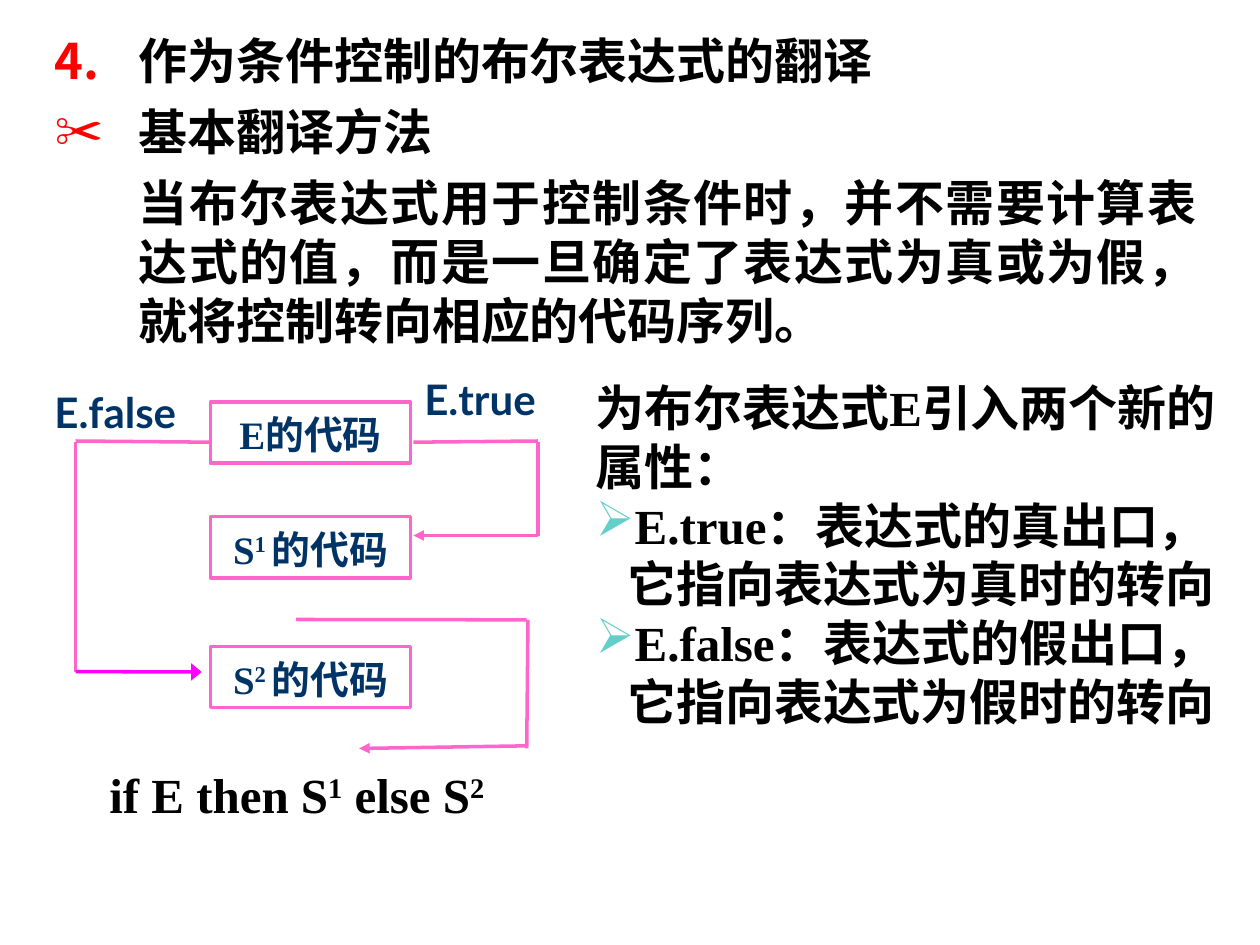
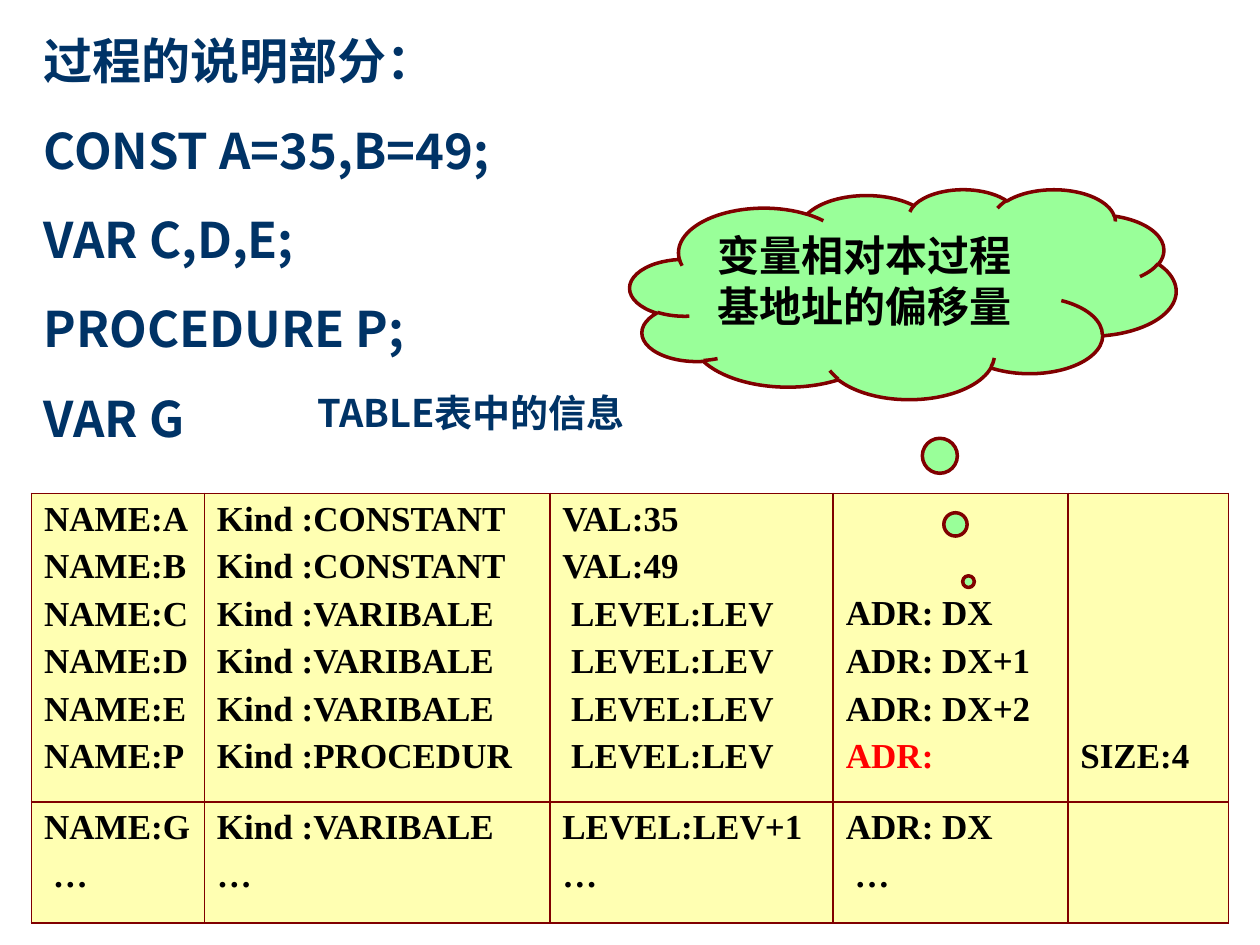
from lxml.etree import SubElement
from pptx import Presentation
from pptx.dml.color import RGBColor
from pptx.enum.shapes import MSO_CONNECTOR as Connector, MSO_SHAPE as Preset
from pptx.enum.text import MSO_ANCHOR as Anchor, MSO_AUTO_SIZE as AutoSize, PP_ALIGN as Align
from pptx.oxml.ns import qn
from pptx.util import Pt

BLACK = RGBColor(0x00, 0x00, 0x00)
WHITE = RGBColor(0xFF, 0xFF, 0xFF)
RED = RGBColor(0xFF, 0x00, 0x00)
NAVY = RGBColor(0x00, 0x33, 0x66)
PINK = RGBColor(0xFF, 0x66, 0xCC)
MAGENTA = RGBColor(0xFF, 0x00, 0xFF)
TEAL = RGBColor(0x64, 0xCE, 0xC9)
MAROON = RGBColor(0x80, 0x00, 0x00)
GREEN = RGBColor(0x99, 0xFF, 0x99)
YELLOW = RGBColor(0xFF, 0xFF, 0x66)

SERIF, SANS, CJK = "Times New Roman", "Lato", "Noto Sans CJK SC"
INSET_X, INSET_Y = 7.2, 3.6
LINE_RATIO = 1.2  # line height over font size
CJK_DROP = 0.07  # keeps the CJK baseline level with the Latin one


def add_xml(parent, tag, **attributes):
    return SubElement(parent, qn(tag), attributes)


def set_values(target, values):
    for name, value in values.items():
        setattr(target, name, value)


class SlideBuilder:
    """Holds the style and the current slide."""

    def __init__(self, presentation):
        self.presentation = presentation
        self.slide = None

    def new_slide(self, layout):
        self.slide = self.presentation.slides.add_slide(
            self.presentation.slide_layouts[layout])

    def write_run(self, paragraph, text, size, font, color, raised=False):
        run = paragraph.add_run()
        run.text = text
        set_values(run.font, {"size": Pt(size), "name": font, "bold": True})
        run.font.color.rgb = color
        properties = run.font._element
        add_xml(properties, "a:ea", typeface=CJK)
        if raised:
            properties.set("baseline", "30000")

    def write_paragraph(self, paragraph, text, size, font, color, **values):
        """Write text; parts between ^ marks are superscript."""
        set_values(paragraph, values)
        for index, part in enumerate(text.split("^")):
            if part:
                self.write_run(paragraph, part, size, font, color, index % 2 == 1)

    def bullet(self, paragraph, mark, color, hang, start=None):
        properties = paragraph._p.get_or_add_pPr()
        properties.set("marL", str(Pt(hang)))
        properties.set("indent", str(-Pt(hang) if mark or start else 0))
        if not (mark or start):
            add_xml(properties, "a:buNone")
            return
        add_xml(add_xml(properties, "a:buClr"), "a:srgbClr", val=str(color))
        if start:
            add_xml(properties, "a:buFont", typeface=CJK)
            add_xml(properties, "a:buAutoNum", type="arabicPeriod", startAt=str(start))
        else:
            add_xml(properties, "a:buChar", char=mark)

    def fill_frame(self, frame, lines, size, font, color, gap=0, bullets=None,
                   wrap=True, anchor=Anchor.TOP, align=Align.LEFT, ratio=LINE_RATIO):
        drop = 0 if "".join(lines).isascii() else size * CJK_DROP
        set_values(frame, {
            "auto_size": AutoSize.NONE, "word_wrap": wrap, "vertical_anchor": anchor,
            "margin_left": Pt(INSET_X), "margin_right": Pt(INSET_X),
            "margin_top": Pt(INSET_Y + drop), "margin_bottom": Pt(INSET_Y)})
        for index, line in enumerate(lines):
            paragraph = frame.add_paragraph() if index else frame.paragraphs[0]
            if bullets and bullets[index]:
                self.bullet(paragraph, **bullets[index])
            self.write_paragraph(
                paragraph, line, size, font, color, alignment=align,
                line_spacing=Pt(size * ratio), space_before=Pt(gap if index else 0))

    def body(self, left, top, width, height, lines, **style):
        """Move and fill the body placeholder; drop the unused title."""
        title = self.slide.shapes.title._element
        title.getparent().remove(title)
        shape = self.slide.placeholders[1]
        set_values(shape, {"left": Pt(left), "top": Pt(top),
                           "width": Pt(width), "height": Pt(height)})
        self.fill_frame(shape.text_frame, lines, **style)

    def text(self, left, top, width, height, lines, **style):
        box = self.slide.shapes.add_textbox(Pt(left), Pt(top), Pt(width), Pt(height))
        self.fill_frame(box.text_frame, lines, **style)

    def shape(self, preset, left, top, width, height, fill, line, lines,
              adjustments=(), **style):
        shape = self.slide.shapes.add_shape(
            preset, Pt(left), Pt(top), Pt(width), Pt(height))
        shape.shadow.inherit = False
        shape.fill.solid()
        shape.fill.fore_color.rgb = fill
        shape.line.color.rgb = line
        shape.line.width = Pt(2)
        for index, value in enumerate(adjustments):
            shape.adjustments[index] = value
        self.fill_frame(shape.text_frame, lines, **style)

    def line(self, start, end, color=PINK, arrow=None):
        """Draw a line; arrow is the width of its end head."""
        connector = self.slide.shapes.add_connector(
            Connector.STRAIGHT, *(Pt(value) for value in (*start, *end)))
        connector.line.color.rgb = color
        connector.line.width = Pt(2)
        if arrow:
            add_xml(connector.line._get_or_add_ln(), "a:tailEnd",
                    type="triangle", w=arrow, len="med")
        add_xml(connector._element.spPr, "a:effectLst")

    def table(self, left, top, widths, heights, rows, size, gap, pitch, highlight):
        """Fill a table; a cell is (lines skipped at the top, lines)."""
        table = self.slide.shapes.add_table(
            len(heights), len(widths), Pt(left), Pt(top),
            Pt(sum(widths)), Pt(sum(heights))).table
        for column, width in zip(table.columns, widths):
            column.width = Pt(width)
        for row, height, cells in zip(table.rows, heights, rows):
            row.height = Pt(height)
            for cell, (skipped, lines) in zip(row.cells, cells):
                self.style_cell(cell, skipped * pitch)
                for index, line in enumerate(lines):
                    frame = cell.text_frame
                    paragraph = frame.add_paragraph() if index else frame.paragraphs[0]
                    self.write_paragraph(
                        paragraph, line, size, SERIF, RED if line == highlight else BLACK,
                        space_before=Pt(gap if index else 0))

    def style_cell(self, cell, extra_top):
        set_values(cell, {
            "margin_left": Pt(INSET_X), "margin_right": Pt(INSET_X),
            "margin_top": Pt(INSET_Y + extra_top), "margin_bottom": Pt(INSET_Y)})
        properties = cell._tc.get_or_add_tcPr()
        for side in ("a:lnL", "a:lnR", "a:lnT", "a:lnB"):
            border = add_xml(properties, side, w=str(Pt(1.08)))
            add_xml(add_xml(border, "a:solidFill"), "a:srgbClr", val=str(MAROON))
        cell.fill.solid()
        cell.fill.fore_color.rgb = YELLOW
        color = properties.find(qn("a:solidFill")).find(qn("a:srgbClr"))
        add_xml(color, "a:alpha", val="50000")


def build_translation_slide(builder):
    builder.new_slide(1)
    main_style = {"size": 28, "font": SERIF, "color": BLACK}
    label_style = {"size": 24, "font": SANS, "color": NAVY}

    # Heading and method
    hang = {"color": RED, "hang": 48}
    builder.body(
        24, 12, 667, 192,
        ["作为条件控制的布尔表达式的翻译",
         "基本翻译方法",
         "当布尔表达式用于控制条件时，并不需要计算表达式的值，"
         "而是一旦确定了表达式为真或为假，就将控制转向相应的代码序列。"],
        gap=7, align=Align.JUSTIFY, **main_style,
        bullets=[{"mark": None, "start": 4, **hang}, {"mark": "✂", **hang},
                 {"mark": None, **hang}])

    # Code blocks
    for top, label in ((369.4, "S^2 ^的代码"), (295.2, "S^1 ^的代码"), (229.7, "E的代码")):
        builder.shape(Preset.RECTANGLE, 120.2, top, 114.5, 35, WHITE, PINK, [label],
                      size=22.2, font=SERIF, color=NAVY, align=Align.CENTER)

    # Jumps: false exit, true exit, and past the else branch
    for start, end, arrow in (
            ((43.2, 252), (120.2, 252.7), None),
            ((43.2, 252.7), (43.2, 383.8), None),
            ((236.2, 252.7), (307.4, 252), None),
            ((307.4, 252.7), (307.4, 306), None),
            ((307.4, 306), (236.2, 306), "med"),
            ((169.2, 354), (301, 354.2), None),
            ((301.7, 354.2), (301, 427.7), None),
            ((301, 426.2), (205.2, 427.7), "med")):
        builder.line(start, end, arrow=arrow)
    builder.line((43.2, 383.8), (115.2, 384), MAGENTA, "lg")

    # Labels
    builder.text(24, 217.4, 96, 36, ["E.false"], **label_style)
    builder.text(235.4, 210.2, 91.4, 36, ["E.true"], **label_style)
    builder.text(55.4, 433.4, 228, 41, ["if E then S^1^ else S^2"], wrap=False, **main_style)

    # New attributes
    arrow_bullet = {"mark": "➢", "color": TEAL, "hang": 18}
    builder.text(
        333.4, 210.2, 374.4, 208.8,
        ["为布尔表达式E引入两个新的属性：",
         "E.true：表达式的真出口，它指向表达式为真时的转向",
         "E.false：表达式的假出口，它指向表达式为假时的转向"],
        bullets=[None, arrow_bullet, arrow_bullet], **main_style)


def build_symbol_table_slide(builder):
    builder.new_slide(6)

    # Declarations
    builder.text(
        18, 12, 354, 245.5,
        ["过程的说明部分：", "CONST A=35,B=49;", "VAR C,D,E;", "PROCEDURE P;", "VAR G"],
        size=28, font=CJK, color=NAVY, gap=17.5)
    builder.text(174.2, 216, 414, 36, ["TABLE表中的信息"], size=21.7, font=CJK, color=NAVY,
                 anchor=Anchor.BOTTOM, ratio=0.96)

    # Symbol table
    kinds = ["CONSTANT"] * 2 + ["VARIBALE"] * 3 + ["PROCEDUR"]
    outer = [
        (0, [f"NAME:{name}" for name in "ABCDEP"]),
        (0, [f"Kind :{kind}" for kind in kinds]),
        (0, ["VAL:35", "VAL:49"] + [" LEVEL:LEV"] * 4),
        (2, ["ADR: DX", "ADR: DX+1", "ADR: DX+2", "ADR:"]),
        (5, ["SIZE:4"])]
    inner = [
        (0, ["NAME:G", " …"]),
        (0, ["Kind :VARIBALE", "…"]),
        (0, ["LEVEL:LEV+1", "…"]),
        (0, ["ADR: DX", " …"]),
        (0, [])]
    builder.table(18, 282, [98.8, 197.4, 162, 134, 91.8], [176.4, 69.1], [outer, inner],
                  size=20, gap=5, pitch=27.1, highlight="ADR:")

    # Note on the address column
    builder.shape(Preset.CLOUD_CALLOUT, 360, 108, 312, 120, GREEN, MAROON,
                  ["变量相对本过程基地址的偏移量"], adjustments=(0.12, 1.37),
                  size=24, font=SANS, color=BLACK)


def main():
    presentation = Presentation()
    set_values(presentation, {"slide_width": Pt(720), "slide_height": Pt(540)})
    builder = SlideBuilder(presentation)
    build_translation_slide(builder)
    build_symbol_table_slide(builder)
    presentation.save("out.pptx")


if __name__ == "__main__":
    main()
